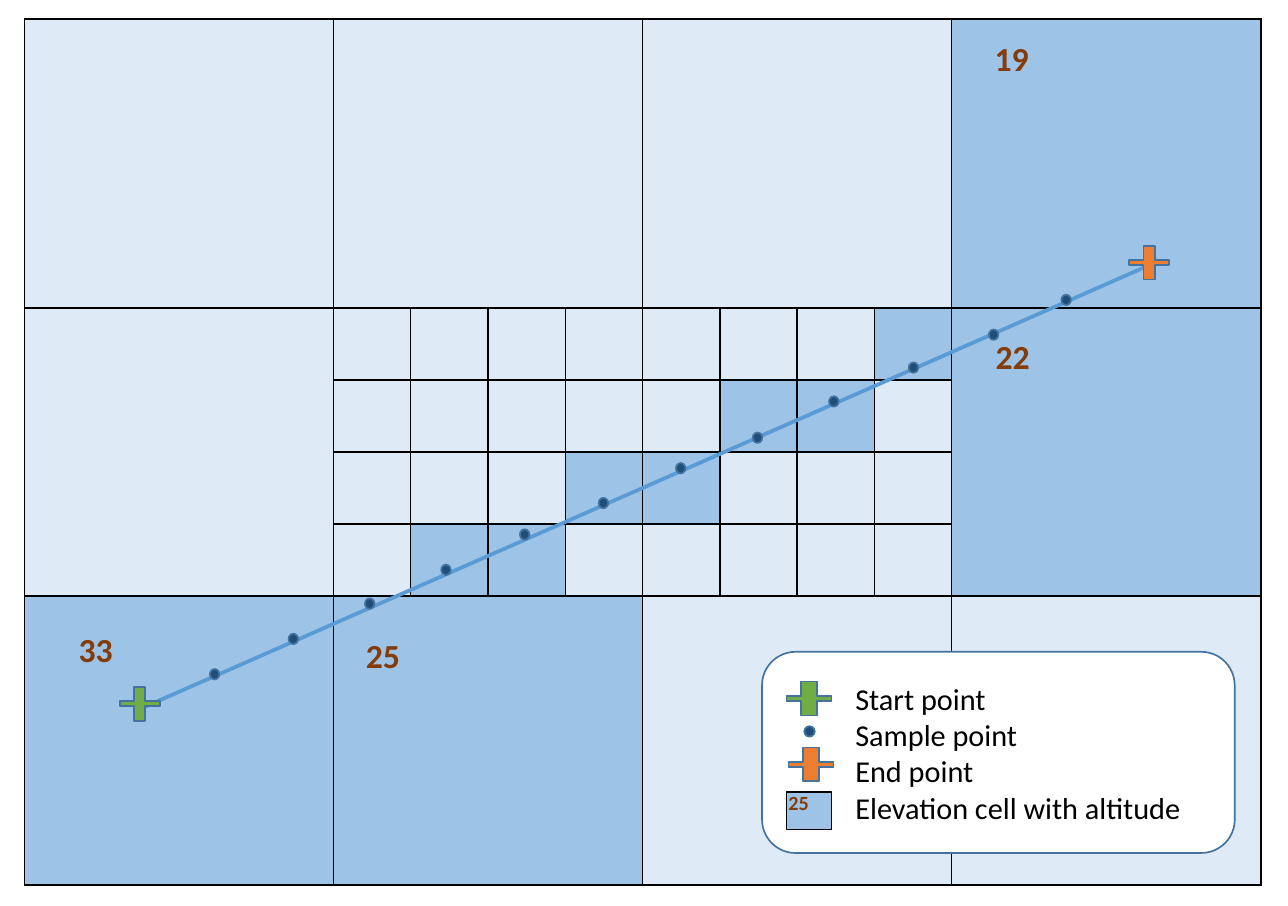
from lxml import etree
from pptx import Presentation
from pptx.dml.color import RGBColor
from pptx.enum.shapes import MSO_CONNECTOR, MSO_SHAPE
from pptx.enum.text import MSO_ANCHOR, PP_ALIGN
from pptx.oxml.ns import qn
from pptx.util import Cm, Pt

PLUS = MSO_SHAPE.CROSS
DOT = MSO_SHAPE.OVAL
BOX = MSO_SHAPE.RECTANGLE
ROUNDED = MSO_SHAPE.ROUNDED_RECTANGLE
STRAIGHT = MSO_CONNECTOR.STRAIGHT
LEFT = PP_ALIGN.LEFT
MIDDLE = MSO_ANCHOR.MIDDLE

COLORS = {
    "pale": "DEEBF7", "crossed": "9DC3E6", "path": "5B9BD5", "sample": "1F4E79",
    "outline": "43739E", "start": "70AD47", "end": "ED7D31",
    "altitude": "843C0B", "black": "000000", "white": "FFFFFF",
}
ALTITUDE_FORMAT = {"name": "Calibri", "bold": True}
LEGEND_FORMAT = {"name": "Calibri", "size": Pt(18)}

COLUMN_WIDTHS = [6.48] + [1.62] * 8 + [6.48]
ROW_HEIGHTS = [6.06] + [1.51] * 4 + [6.06]
# Top left and bottom right (row, column) of each merged cell
MERGES = [((row, column), (row, column + 3)) for row in (0, 5) for column in (1, 5)]
MERGES += [((1, column), (4, column)) for column in (0, 9)]
# Columns that the path crosses, by row
CROSSED = [(9,), (8, 9), (6, 7, 9), (4, 5, 9), (2, 3, 9), (0, 1, 2, 3, 4)]

START, END = (2.93, 14.76), (24.09, 5.51)
SAMPLES = [
    (2.95, 14.74), (4.5, 14.14), (6.15, 13.4), (7.75, 12.66), (9.35, 11.95),
    (11, 11.21), (12.65, 10.55), (14.27, 9.82), (15.88, 9.18), (17.48, 8.42),
    (19.15, 7.71), (20.83, 7.02), (22.35, 6.29), (24.1, 5.52),
]
ALTITUDES = [("33", 1.4, 13.06), ("19", 20.6, 0.66), ("22", 20.62, 6.91), ("25", 7.42, 13.18)]
LEGEND_LINES = ["Start point", "Sample point", "End point", "Elevation cell with altitude"]


def color(name):
    return RGBColor.from_string(COLORS[name])


def format_font(font, values, color_name):
    for name, value in values.items():
        setattr(font, name, value)
    font.color.rgb = color(color_name)


def add_cell_borders(cell):
    properties = cell._tc.get_or_add_tcPr()
    for side in ("lnL", "lnR", "lnT", "lnB"):
        line = etree.SubElement(properties, qn("a:" + side), w=str(Pt(1)))
        fill = etree.SubElement(line, qn("a:solidFill"))
        etree.SubElement(fill, qn("a:srgbClr"), val=COLORS["black"])


def add_elevation_grid(shapes):
    frame = shapes.add_table(
        len(ROW_HEIGHTS), len(COLUMN_WIDTHS), Cm(0.51), Cm(0.4),
        Cm(sum(COLUMN_WIDTHS)), Cm(sum(ROW_HEIGHTS)))
    table = frame.table
    for column, width in zip(table.columns, COLUMN_WIDTHS):
        column.width = Cm(width)
    for row, height in zip(table.rows, ROW_HEIGHTS):
        row.height = Cm(height)
    for row, crossed in enumerate(CROSSED):
        for column in range(len(COLUMN_WIDTHS)):
            cell = table.cell(row, column)
            add_cell_borders(cell)
            cell.fill.solid()
            cell.fill.fore_color.rgb = color("crossed" if column in crossed else "pale")
    for first, last in MERGES:
        table.cell(*first).merge(table.cell(*last))


def add_path(shapes, start, end):
    connector = shapes.add_connector(STRAIGHT, *(Cm(value) for value in start + end))
    connector.line.color.rgb = color("path")
    connector.line.width = Pt(2.25)
    etree.SubElement(connector._element.spPr, qn("a:effectLst"))


def add_marker(shapes, kind, center, size, fill, outline="outline"):
    (x, y), (width, height) = center, size
    shape = shapes.add_shape(
        kind, Cm(x - width / 2), Cm(y - height / 2), Cm(width), Cm(height))
    shape.shadow.inherit = False
    shape.fill.solid()
    shape.fill.fore_color.rgb = color(fill)
    shape.line.color.rgb = color(outline)
    shape.line.width = Pt(1)
    if kind == PLUS:
        shape.adjustments[0] = 0.426
    return shape


def add_altitude(shapes, text, left, top, size=20):
    box = shapes.add_textbox(Cm(left), Cm(top), Cm(1.4), Cm(1))
    box.text_frame.word_wrap = True
    run = box.text_frame.paragraphs[0].add_run()
    run.text = text
    format_font(run.font, {**ALTITUDE_FORMAT, "size": Pt(size)}, "altitude")


def add_legend(slide):
    shapes = slide.shapes.add_group_shape().shapes
    panel = add_marker(shapes, ROUNDED, (20.93, 15.78), (9.91, 4.22), "white")
    frame = panel.text_frame
    frame.word_wrap = True
    frame.vertical_anchor = MIDDLE
    for index, text in enumerate(LEGEND_LINES):
        paragraph = frame.add_paragraph() if index else frame.paragraphs[0]
        paragraph.alignment = LEFT
        paragraph._p.get_or_add_pPr().set("marL", str(Cm(1.5)))
        run = paragraph.add_run()
        run.text = text
        format_font(run.font, LEGEND_FORMAT, "black")
    # Legend symbols
    add_marker(shapes, PLUS, (16.96, 14.65), (0.94, 0.71), "start")
    add_marker(shapes, DOT, (16.97, 15.34), (0.22, 0.22), "sample")
    add_marker(shapes, PLUS, (17, 16.03), (0.94, 0.71), "end")
    add_marker(shapes, BOX, (16.96, 17), (0.94, 0.79), "crossed", "black")
    add_altitude(shapes, "25", 16.28, 16.46, 12)


def main():
    presentation = Presentation()
    presentation.slide_width = Cm(27)
    presentation.slide_height = Cm(19)
    slide = presentation.slides.add_slide(presentation.slide_layouts[6])
    shapes = slide.shapes

    # Elevation cells and their altitudes
    add_elevation_grid(shapes)
    for text, left, top in ALTITUDES:
        add_altitude(shapes, text, left, top)

    # Sampled path from start to end
    add_path(shapes, (3.02, 14.83), (24.21, 5.51))
    for center in SAMPLES:
        add_marker(shapes, DOT, center, (0.2, 0.22), "sample")
    for center, fill in ((START, "start"), (END, "end")):
        add_marker(shapes, PLUS, center, (0.84, 0.71), fill)

    add_legend(slide)
    presentation.save("out.pptx")


main()
